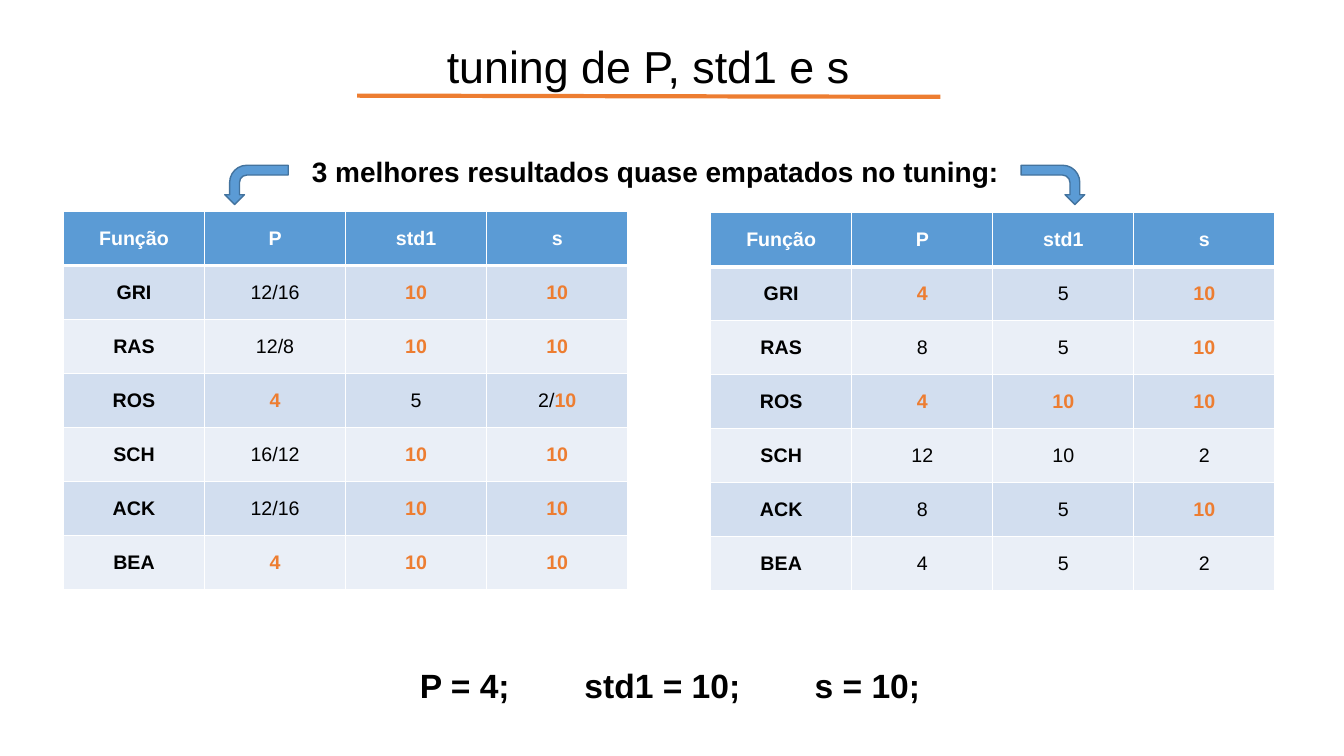
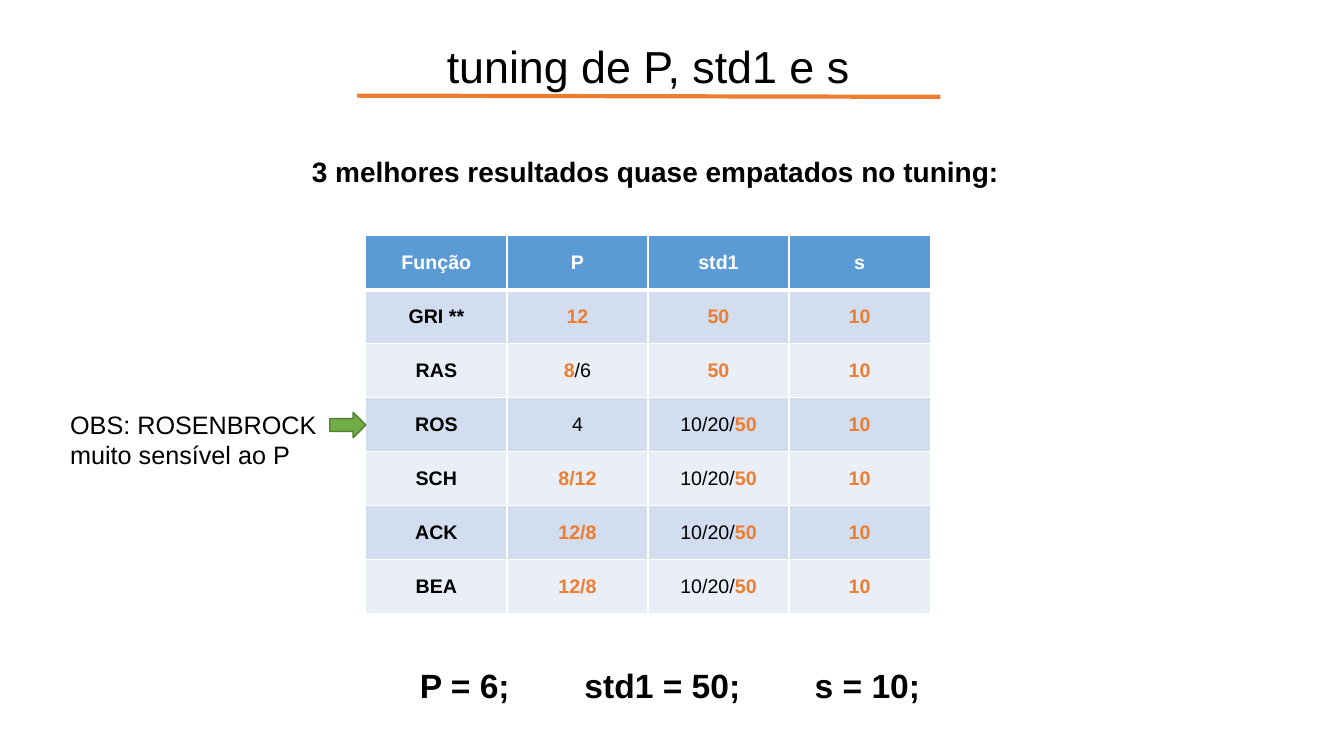
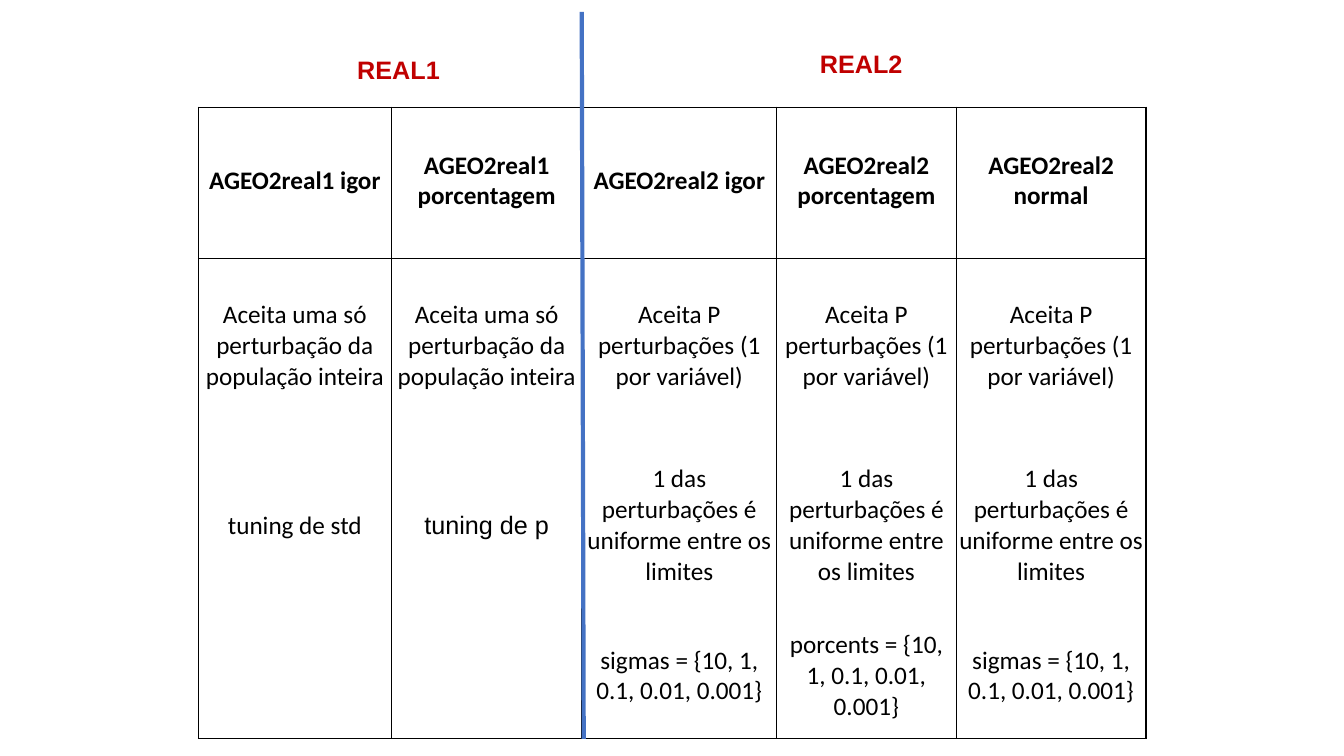
import pptx
import pptx.util
import pptx.dml.color
import pptx.enum.shapes
import pptx.enum.text
import pptx.oxml
import pptx.oxml.ns
import lxml.etree

Cm = pptx.util.Cm
Pt = pptx.util.Pt
RGB = pptx.dml.color.RGBColor.from_string
ALIGN = pptx.enum.text.PP_ALIGN
ANCHOR = pptx.enum.text.MSO_ANCHOR
SHAPE = pptx.enum.shapes.MSO_SHAPE
qn = pptx.oxml.ns.qn

COLORS = {
    "black": "000000",
    "white": "FFFFFF",
    "header": "5B9BD5",
    "band": "D2DEEF",
    "light band": "EAEFF7",
    "accent": "ED7D31",
    "blue edge": "43739E",
    "green": "70AD47",
    "green edge": "538035",
    "divider": "4472C4",
    "red": "C00000",
}


def write(frame, text, size=18, font="Arial", color="black", bold=False,
          align=ALIGN.CENTER, spacing=None, tabs=()):
    frame.word_wrap = True
    para = frame.paragraphs[0]
    para.alignment = align
    if spacing:
        para.line_spacing = spacing
    if tabs:
        tab_list = lxml.etree.SubElement(para._p.get_or_add_pPr(), qn("a:tabLst"))
        for stop in tabs:
            lxml.etree.SubElement(tab_list, qn("a:tab"), pos=str(Cm(stop)), algn="l")
    for index, part in enumerate(text.replace("]", "[").split("[")):
        if part:
            marked = index % 2 == 1
            span = para.add_run()
            span.text = part
            span.font.size = Pt(size)
            span.font.name = font
            span.font.bold = bold or marked
            span.font.color.rgb = RGB(COLORS["accent" if marked else color])


def set_borders(cell, color, left=1, right=1, top=1, bottom=1):
    properties = cell._tc.get_or_add_tcPr()
    for side, width in zip("LRTB", (left, right, top, bottom)):
        line = lxml.etree.SubElement(properties, qn("a:ln" + side), w=str(Pt(width)))
        if width:
            fill = lxml.etree.SubElement(line, qn("a:solidFill"))
            lxml.etree.SubElement(fill, qn("a:srgbClr"), val=COLORS[color])
        else:
            lxml.etree.SubElement(line, qn("a:noFill"))


deck = pptx.Presentation()
deck.slide_width = Cm(33.87)
deck.slide_height = Cm(19.05)

header = ["Função", "P", "std1", "s"]
tuning_pages = [
    {
        "tables": [
            (1.6, 5.33, [
                ["GRI", "12/16", "[10]", "[10]"],
                ["RAS", "12/8", "[10]", "[10]"],
                ["ROS", "[4]", "5", "2/[10]"],
                ["SCH", "16/12", "[10]", "[10]"],
                ["ACK", "12/16", "[10]", "[10]"],
                ["BEA", "[4]", "[10]", "[10]"],
            ]),
            (17.91, 5.36, [
                ["GRI", "[4]", "5", "[10]"],
                ["RAS", "8", "5", "[10]"],
                ["ROS", "[4]", "[10]", "[10]"],
                ["SCH", "12", "10", "2"],
                ["ACK", "8", "5", "[10]"],
                ["BEA", "4", "5", "2"],
            ]),
        ],
        "arrows": [
            (SHAPE.BENT_ARROW, (26.04, 3.86, 0.99, 1.6), 90, False, "header", "blue edge"),
            (SHAPE.BENT_ARROW, (5.97, 3.86, 0.99, 1.6), 90, True, "header", "blue edge"),
        ],
        "note": None,
        "result": "P = 4;\tstd1 = 10;\ts = 10;",
    },
    {
        "tables": [
            (9.22, 5.94, [
                ["GRI **", "[12]", "[50]", "[10]"],
                ["RAS", "[8]/6", "[50]", "[10]"],
                ["ROS", "4", "10/20/[50]", "[10]"],
                ["SCH", "[8/12]", "10/20/[50]", "[10]"],
                ["ACK", "[12/8]", "10/20/[50]", "[10]"],
                ["BEA", "[12/8]", "10/20/[50]", "[10]"],
            ]),
        ],
        "arrows": [
            (SHAPE.RIGHT_ARROW, (8.31, 10.39, 0.91, 0.64), 0, False, "green", "green edge"),
        ],
        "note": "OBS: ROSENBROCK muito sensível ao P",
        "result": "P = 6;\tstd1 = 50;\ts = 10;",
    },
]

rules = []
for content in tuning_pages:
    page = deck.slides.add_slide(deck.slide_layouts[5])
    title = page.shapes.title
    title.left, title.top, title.width, title.height = map(Cm, (5.38, 0.84, 21.92, 1.63))
    title.text_frame.vertical_anchor = ANCHOR.TOP
    title.text_frame.auto_size = pptx.enum.text.MSO_AUTO_SIZE.NONE
    write(title.text_frame, "tuning de P, std1 e s", size=32)
    rules.append((page, (9, 2.41, 23.7, 2.44), "accent"))

    for left, top, body in content["tables"]:
        rows = [header] + body
        frame = page.shapes.add_table(len(rows), 4, Cm(left), Cm(top), Cm(14.22), Cm(9.53))
        for row_index, row in enumerate(rows):
            for column_index, text in enumerate(row):
                cell = frame.table.cell(row_index, column_index)
                is_header = row_index == 0
                set_borders(cell, "white", top=3 if row_index == 1 else 1,
                            bottom=3 if is_header else 1)
                band = "band" if row_index % 2 else "light band"
                cell.fill.solid()
                cell.fill.fore_color.rgb = RGB(COLORS["header" if is_header else band])
                cell.vertical_anchor = ANCHOR.MIDDLE
                write(cell.text_frame, text, size=14,
                      color="white" if is_header else "black",
                      bold=is_header or column_index == 0)

    box = page.shapes.add_textbox(Cm(5.56), Cm(3.78), Cm(21.92), Cm(1.12))
    write(box.text_frame, "3 melhores resultados quase empatados no tuning:", size=20, bold=True)

    if content["note"]:
        box = page.shapes.add_textbox(Cm(1.52), Cm(10.19), Cm(7.04), Cm(1.8))
        write(box.text_frame, content["note"], align=ALIGN.LEFT)

    for kind, place, rotation, flipped, fill, edge in content["arrows"]:
        arrow = page.shapes.add_shape(kind, *map(Cm, place))
        arrow.rotation = rotation
        if flipped:
            arrow._element.spPr.xfrm.set("flipV", "1")
        arrow.shadow.inherit = False
        arrow.fill.solid()
        arrow.fill.fore_color.rgb = RGB(COLORS[fill])
        arrow.line.color.rgb = RGB(COLORS[edge])
        arrow.line.width = Pt(1)

    box = page.shapes.add_textbox(Cm(8.53), Cm(16.13), Cm(16.79), Cm(1.8))
    box.text_frame.margin_left = Cm(2.05)
    write(box.text_frame, content["result"], size=24, bold=True,
          align=ALIGN.LEFT, spacing=1.5, tabs=(4.15, 9.95))

page = deck.slides.add_slide(deck.slide_layouts[6])
single = "Aceita uma só perturbação da população inteira"
multiple = "Aceita P perturbações (1 por variável)"
uniform = "1 das perturbações é uniforme entre os limites"
sigmas = "sigmas = {10, 1, 0.1, 0.01, 0.001}"
variants = [
    ["AGEO2real1 igor", "AGEO2real1 porcentagem", "AGEO2real2 igor",
     "AGEO2real2 porcentagem", "AGEO2real2 normal"],
    [single] * 2 + [multiple] * 3,
    ["tuning de std", "tuning de p"] + [uniform] * 3,
    ["", "", sigmas, "porcents = {10, 1, 0.1, 0.01, 0.001}", sigmas],
]
frame = page.shapes.add_table(4, 5, Cm(5), Cm(2.7), Cm(23.88), Cm(15.92))
for column, width in zip(frame.table.columns, (4.86, 4.81, 4.9, 4.53, 4.78)):
    column.width = Cm(width)
for row, height in zip(frame.table.rows, (3.81, 4.52, 4.52, 3.07)):
    row.height = Cm(height)
for row_index, row in enumerate(variants):
    for column_index, text in enumerate(row):
        cell = frame.table.cell(row_index, column_index)
        set_borders(cell, "black", top=1 if row_index < 2 else 0,
                    bottom=1 if row_index in (0, 3) else 0)
        cell.fill.background()
        cell.vertical_anchor = ANCHOR.MIDDLE
        cell.margin_left = cell.margin_right = cell.margin_top = Cm(0.03)
        cell.margin_bottom = Cm(0.13)
        write(cell.text_frame, text, bold=row_index == 0,
              font="Arial" if text == "tuning de p" else "Calibri")
rules.append((page, (14.66, 0.3, 14.71, 18.62), "divider"))

for text, left, top in (("REAL1", 7.85, 1.24), ("REAL2", 19.51, 1.09)):
    box = page.shapes.add_textbox(Cm(left), Cm(top), Cm(4.39), Cm(1.02))
    write(box.text_frame, text, color="red", bold=True)

for page, ends, color in rules:
    rule = page.shapes.add_connector(
        pptx.enum.shapes.MSO_CONNECTOR.STRAIGHT, *map(Cm, ends))
    rule.line.color.rgb = RGB(COLORS[color])
    rule.line.width = Pt(3)
    lxml.etree.SubElement(rule._element.spPr, qn("a:effectLst"))

deck.save("out.pptx")
